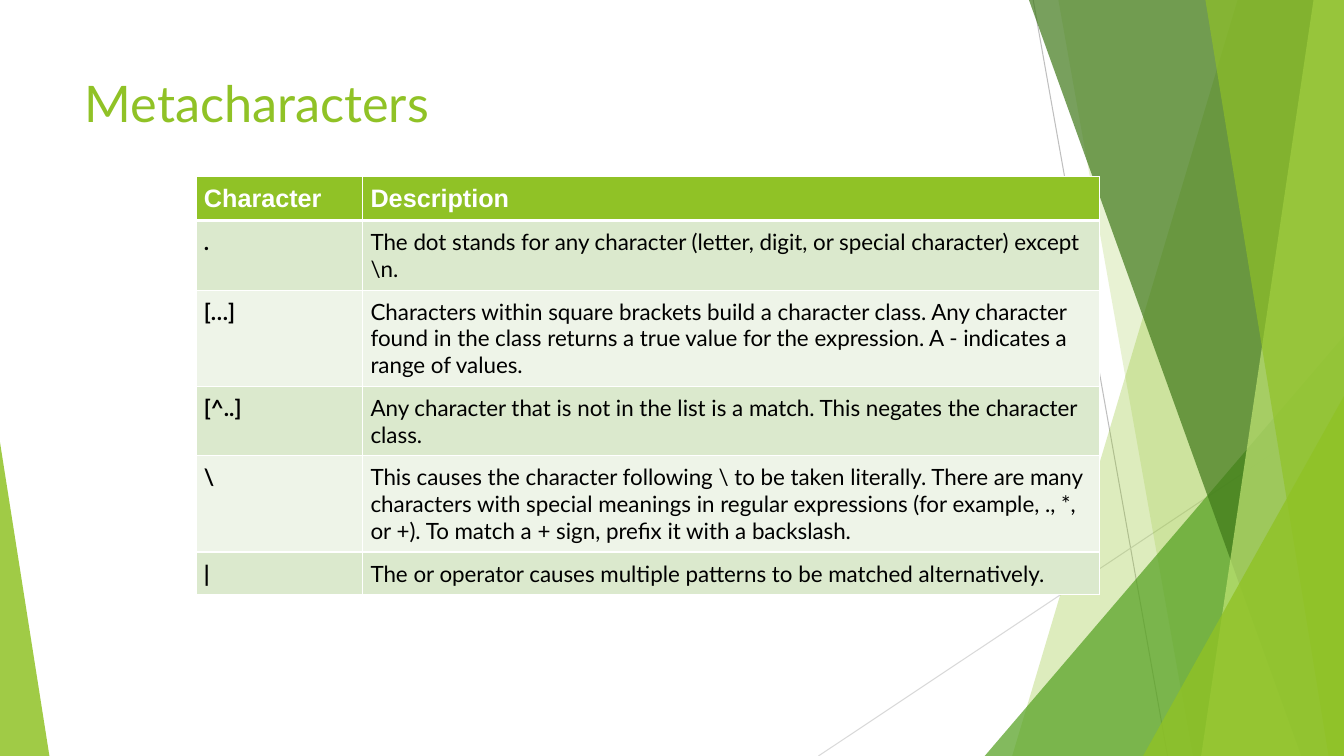
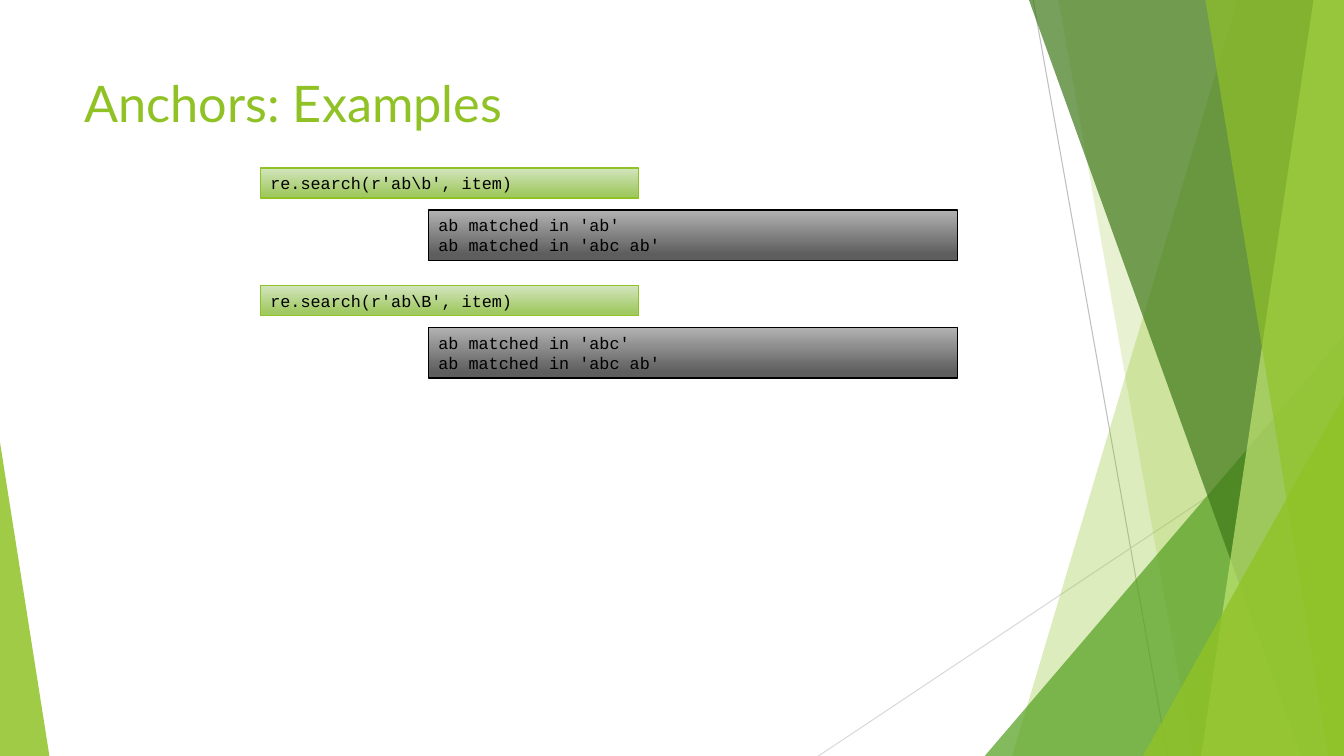
"""Build two regular-expression slides over a shared green facet layout."""
from lxml import etree
from pptx import Presentation
from pptx.dml.color import RGBColor
from pptx.enum import shapes, text
from pptx.oxml.ns import qn
from pptx.util import Pt

GREEN, DARK_GREEN, WHITE, BLACK = "90C226", "3F7819", "FFFFFF", "000000"
WIDTH, HEIGHT = 960, 540


def colour(value):
    return RGBColor.from_string(value)


def add_run(paragraph, words, font, size, value, bold=False):
    paragraph.alignment = text.PP_ALIGN.LEFT
    run = paragraph.add_run()
    run.text = words
    run.font.name = font
    run.font.size = Pt(size)
    run.font.bold = bold
    run.font.color.rgb = colour(value)


presentation = Presentation()
presentation.slide_width = Pt(WIDTH)
presentation.slide_height = Pt(HEIGHT)
layout = presentation.slide_layouts[5]

layout_title = layout.placeholders[0]
layout_title.left, layout_title.top = Pt(53.3), Pt(48)
layout_title.width, layout_title.height = Pt(677), Pt(104)
layout_title.text_frame.vertical_anchor = text.MSO_ANCHOR.TOP

slides = []
for heading in ["Metacharacters", "Anchors: Examples"]:
    slide = presentation.slides.add_slide(layout)
    title = slide.shapes.title.text_frame
    title.auto_size = text.MSO_AUTO_SIZE.NONE
    add_run(title.paragraphs[0], heading, "Lato", 36, GREEN)
    slides.append(slide)
table_slide, example_slide = slides

decorations = []
for start_x, start_y, end_x, end_y, value in [
    (738, 0, 834, HEIGHT, "BFBFBF"),
    (WIDTH, 290, 584.6, HEIGHT, "D9D9D9"),
]:
    connector = table_slide.shapes.add_connector(
        shapes.MSO_CONNECTOR.STRAIGHT, Pt(start_x), Pt(start_y), Pt(end_x), Pt(end_y))
    connector.line.color.rgb = colour(value)
    connector.line.width = Pt(0.75)
    etree.SubElement(connector.element.spPr, qn("a:effectLst"))
    decorations.append(connector)

facets = [
    ("band", (884, 723), GREEN, 30),
    ("band", (756, 852), GREEN, 20),
    ("triangle", (703.4, 240, 256.6, 1), "54A021", 72),
    ("band", (735, 929.5), DARK_GREEN, 70),
    ("band", (938.3, 858), "C0E474", 70),
    ("band", (861, 949), GREEN, 65),
    ("triangle", (816.5, 283, 143.5, 1), GREEN, 80),
    ("triangle", (0, 316, 35.3, 0), GREEN, 85),
]
for kind, geometry, value, opacity in facets:
    if kind == "band":
        top_x, bottom_x = geometry
        outline = table_slide.shapes.build_freeform(Pt(top_x), 0)
        outline.add_line_segments([
            (Pt(WIDTH), 0), (Pt(WIDTH), Pt(HEIGHT)), (Pt(bottom_x), Pt(HEIGHT))])
        shape = outline.convert_to_shape()
    else:
        left, top, width, apex = geometry
        shape = table_slide.shapes.add_shape(
            shapes.MSO_SHAPE.ISOSCELES_TRIANGLE,
            Pt(left), Pt(top), Pt(width), Pt(HEIGHT - top))
        shape.adjustments[0] = apex
    shape.shadow.inherit = False
    shape.fill.solid()
    shape.fill.fore_color.rgb = colour(value)
    fill_colour = shape.element.spPr.find(".//" + qn("a:srgbClr"))
    etree.SubElement(fill_colour, qn("a:alpha"), val=str(opacity * 1000))
    shape.line.fill.background()
    decorations.append(shape)

for number, shape in enumerate(decorations, 20):
    shape.element.xpath("./*/p:cNvPr")[0].set("id", str(number))
    layout.shapes.element.append(shape.element)

rows = [
    ("Character", "Description", 30),
    (".", "The dot stands for any character (letter, digit, or special character) except \\n.", 49.5),
    ("[…]", "Characters within square brackets build a character class. Any character found in "
     "the class returns a true value for the expression. A - indicates a range of values.", 68.5),
    ("[^..]", "Any character that is not in the list is a match. This negates the character class.", 49.5),
    ("\\", "This causes the character following \\ to be taken literally. There are many "
     "characters with special meanings in regular expressions (for example, ., *, or +). "
     "To match a + sign, prefix it with a backslash.", 68.5),
    ("|", "The or operator causes multiple patterns to be matched alternatively.", 30),
]
table = table_slide.shapes.add_table(
    len(rows), 2, Pt(140), Pt(126), Pt(645.5), Pt(sum(row[2] for row in rows))).table
table.horz_banding = False
table.columns[0].width, table.columns[1].width = Pt(119), Pt(526.5)
for row_index, (*entries, height) in enumerate(rows):
    table.rows[row_index].height = Pt(height)
    header = row_index == 0
    fill = GREEN if header else ("EEF4E8", "DBE9CD")[row_index % 2]
    borders = {"L": 1, "R": 1, "T": 3 if row_index == 1 else 1, "B": 3 if header else 1}
    for column_index, words in enumerate(entries):
        cell = table.cell(row_index, column_index)
        cell.margin_left = cell.margin_right = Pt(5.7)
        cell.margin_top = cell.margin_bottom = Pt(5.7)
        properties = cell._tc.get_or_add_tcPr()
        for side, thickness in borders.items():
            line = etree.SubElement(properties, qn("a:ln" + side), w=str(Pt(thickness)))
            line_fill = etree.SubElement(line, qn("a:solidFill"))
            etree.SubElement(line_fill, qn("a:srgbClr"), val=WHITE)
        cell.fill.solid()
        cell.fill.fore_color.rgb = colour(fill)
        paragraph = cell.text_frame.paragraphs[0]
        if header:
            add_run(paragraph, words, "Arial", 18, WHITE, True)
        else:
            add_run(paragraph, words, "Lato", 16, BLACK, column_index == 0)

examples = [
    (["re.search(r'ab\\b', item)"], ["ab matched in 'ab'", "ab matched in 'abc ab'"]),
    (["re.search(r'ab\\B', item)"], ["ab matched in 'abc'", "ab matched in 'abc ab'"]),
]
box_styles = [
    (186, 120, 270, 21.6, ("D3E5BE", "A0C962"), GREEN),
    (306, 150, 378, 36, ("B2B2B2", "5E5E5E"), BLACK),
]
for example_index, example in enumerate(examples):
    for lines, (left, top, width, height, gradient, border) in zip(example, box_styles):
        box = example_slide.shapes.add_shape(
            shapes.MSO_SHAPE.RECTANGLE,
            Pt(left), Pt(top + 84 * example_index), Pt(width), Pt(height))
        box.shadow.inherit = False
        box.fill.gradient()
        box.fill.gradient_angle = 270
        for stop, position, value in zip(box.fill.gradient_stops, (0, 0.88), gradient):
            stop.position = position
            stop.color.rgb = colour(value)
        box.line.color.rgb = colour(border)
        box.line.width = Pt(1)
        frame = box.text_frame
        frame.word_wrap = True
        frame.auto_size = text.MSO_AUTO_SIZE.SHAPE_TO_FIT_TEXT
        frame.vertical_anchor = text.MSO_ANCHOR.TOP
        for line_index, words in enumerate(lines):
            paragraph = frame.add_paragraph() if line_index else frame.paragraphs[0]
            add_run(paragraph, words, "Courier New", 12, BLACK)

presentation.save("out.pptx")
